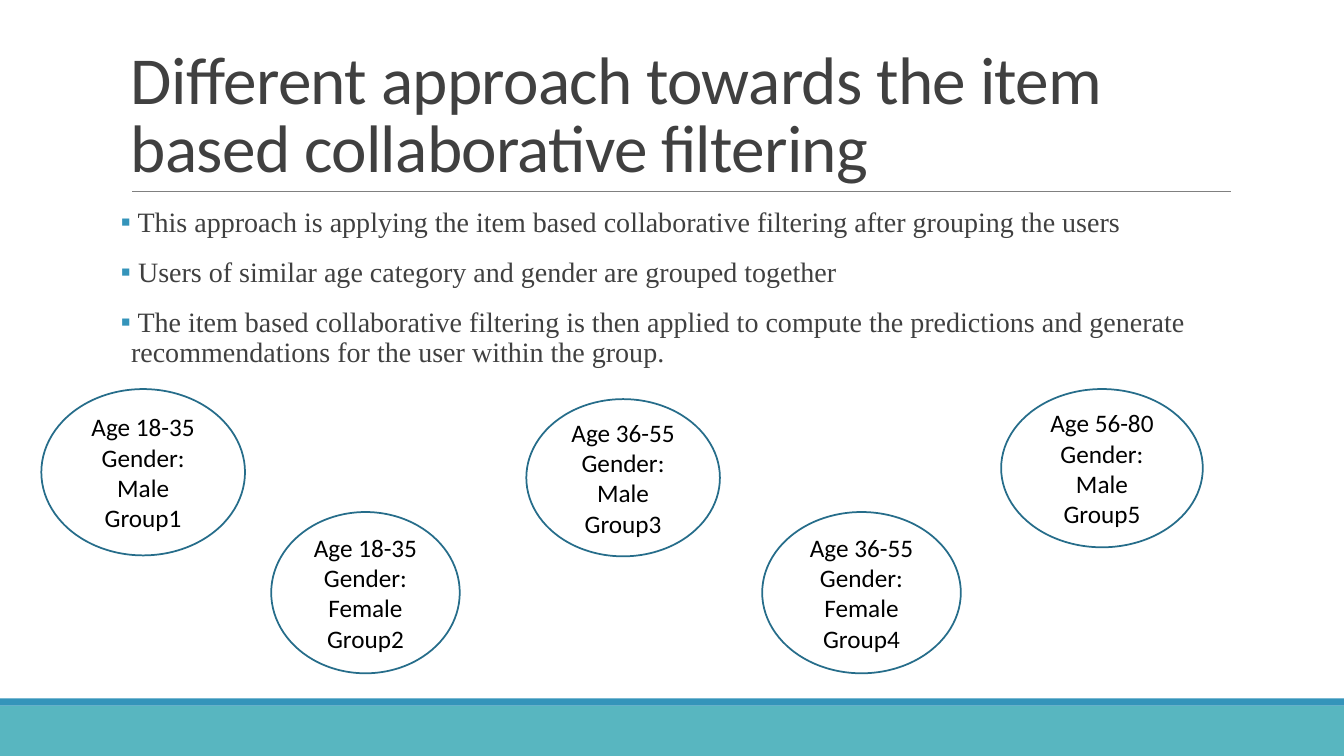
import pptx
import pptx.dml.color
import pptx.enum.shapes
import pptx.enum.text
import pptx.oxml
import pptx.oxml.ns
import pptx.util

Inches = pptx.util.Inches
Pt = pptx.util.Pt
RGBColor = pptx.dml.color.RGBColor
Anchor = pptx.enum.text.MSO_ANCHOR
Align = pptx.enum.text.PP_ALIGN
Shapes = pptx.enum.shapes.MSO_SHAPE

TEAL = RGBColor(0x58, 0xB6, 0xC0)
BLUE = RGBColor(0x34, 0x94, 0xBA)
DARK_BLUE = RGBColor(0x26, 0x6D, 0x8A)
GRAY = RGBColor(0x80, 0x80, 0x80)
DARK_GRAY = RGBColor(0x40, 0x40, 0x40)
BLACK = RGBColor(0, 0, 0)

TITLE = "Different approach towards the item based collaborative filtering"
POINTS = [
    " This approach is applying the item based collaborative filtering after grouping the users",
    " Users of similar age category and gender are grouped together",
    " The item based collaborative filtering is then applied to compute the predictions"
    " and generate recommendations for the user within the group.",
]
GROUPS = [
    ("18-35", "Male", (0.41, 3.86, 2.02, 1.65)),
    ("18-35", "Female", (2.69, 5.08, 1.87, 1.6)),
    ("36-55", "Male", (5.22, 3.96, 1.92, 1.56)),
    ("36-55", "Female", (7.56, 5.08, 1.97, 1.6)),
    ("56-80", "Male", (9.93, 3.86, 2, 1.57)),
]

TITLE_FONT = {"name": "Calibri", "size": Pt(48)}
POINT_FONT = {"name": "Times New Roman", "size": Pt(20)}
GROUP_FONT = {"name": "Calibri", "size": Pt(18)}
TITLE_FRAME = {"word_wrap": True, "vertical_anchor": Anchor.BOTTOM}
BODY_FRAME = {"word_wrap": True, "margin_left": 0, "margin_right": 0}
GROUP_FRAME = {"word_wrap": True, "vertical_anchor": Anchor.MIDDLE}
TITLE_PARAGRAPH = {"line_spacing": 0.85}
POINT_PARAGRAPH = {"line_spacing": 0.9, "space_before": Pt(12), "space_after": Pt(2)}
GROUP_PARAGRAPH = {"alignment": Align.CENTER}


def apply_format(target, values):
    for name, value in values.items():
        setattr(target, name, value)


def write_lines(shape, lines, frame_format, paragraph_format, font_format, color):
    frame = shape.text_frame
    apply_format(frame, frame_format)
    frame.text = "\n".join(lines)
    for paragraph in frame.paragraphs:
        apply_format(paragraph, paragraph_format)
        for run in paragraph.runs:
            apply_format(run.font, font_format)
            run.font.color.rgb = color
    return frame.paragraphs


def add_bullet(paragraph):
    properties = paragraph._p.get_or_add_pPr()
    properties.set("marL", str(Inches(0.1)))
    properties.set("indent", str(Inches(-0.1)))
    namespace = pptx.oxml.ns.nsdecls("a")
    for markup in (
        f'<a:buClr {namespace}><a:srgbClr val="{BLUE}"/></a:buClr>',
        f'<a:buFont {namespace} typeface="Calibri"/>',
        f'<a:buChar {namespace} char="▪"/>',
    ):
        properties.append(pptx.oxml.parse_xml(markup))


def add_band(slide, top, height, color):
    band = slide.shapes.add_shape(
        Shapes.RECTANGLE, 0, Inches(top), Inches(13.33), Inches(height))
    band.shadow.inherit = False
    band.fill.solid()
    band.fill.fore_color.rgb = color
    band.line.fill.background()


def add_rule(slide, left, right, top):
    rule = slide.shapes.add_connector(
        pptx.enum.shapes.MSO_CONNECTOR.STRAIGHT,
        Inches(left), Inches(top), Inches(right), Inches(top))
    rule.line.color.rgb = GRAY
    rule.line.width = Pt(0.5)
    effects = f'<a:effectLst {pptx.oxml.ns.nsdecls("a")}/>'
    rule._element.spPr.append(pptx.oxml.parse_xml(effects))


def add_title(slide):
    box = slide.shapes.add_textbox(Inches(1.2), Inches(0.31), Inches(11), Inches(1.59))
    paragraphs = write_lines(
        box, [TITLE], TITLE_FRAME, TITLE_PARAGRAPH, TITLE_FONT, DARK_GRAY)
    paragraphs[0].runs[0]._r.get_or_add_rPr().set("spc", "-50")


def add_points(slide):
    box = slide.shapes.add_textbox(Inches(1.2), Inches(2.02), Inches(11), Inches(4.4))
    for paragraph in write_lines(
            box, POINTS, BODY_FRAME, POINT_PARAGRAPH, POINT_FONT, DARK_GRAY):
        add_bullet(paragraph)


def add_group(slide, number, age, gender, bounds):
    ellipse = slide.shapes.add_shape(Shapes.OVAL, *map(Inches, bounds))
    ellipse.shadow.inherit = False
    ellipse.fill.background()
    ellipse.line.color.rgb = DARK_BLUE
    ellipse.line.width = Pt(1.25)
    lines = [f"Age {age}", f"Gender: {gender}", f"Group{number}"]
    write_lines(ellipse, lines, GROUP_FRAME, GROUP_PARAGRAPH, GROUP_FONT, BLACK)


def main():
    presentation = pptx.Presentation()
    presentation.slide_width = Inches(13.33)
    presentation.slide_height = Inches(7.5)
    slide = presentation.slides.add_slide(presentation.slide_layouts[6])
    add_band(slide, 7, 0.5, TEAL)
    add_band(slide, 6.93, 0.07, BLUE)
    add_rule(slide, 1.31, 12.21, 1.9)
    add_title(slide)
    add_points(slide)
    for number, (age, gender, bounds) in enumerate(GROUPS, 1):
        add_group(slide, number, age, gender, bounds)
    presentation.save("out.pptx")


if __name__ == "__main__":
    main()
